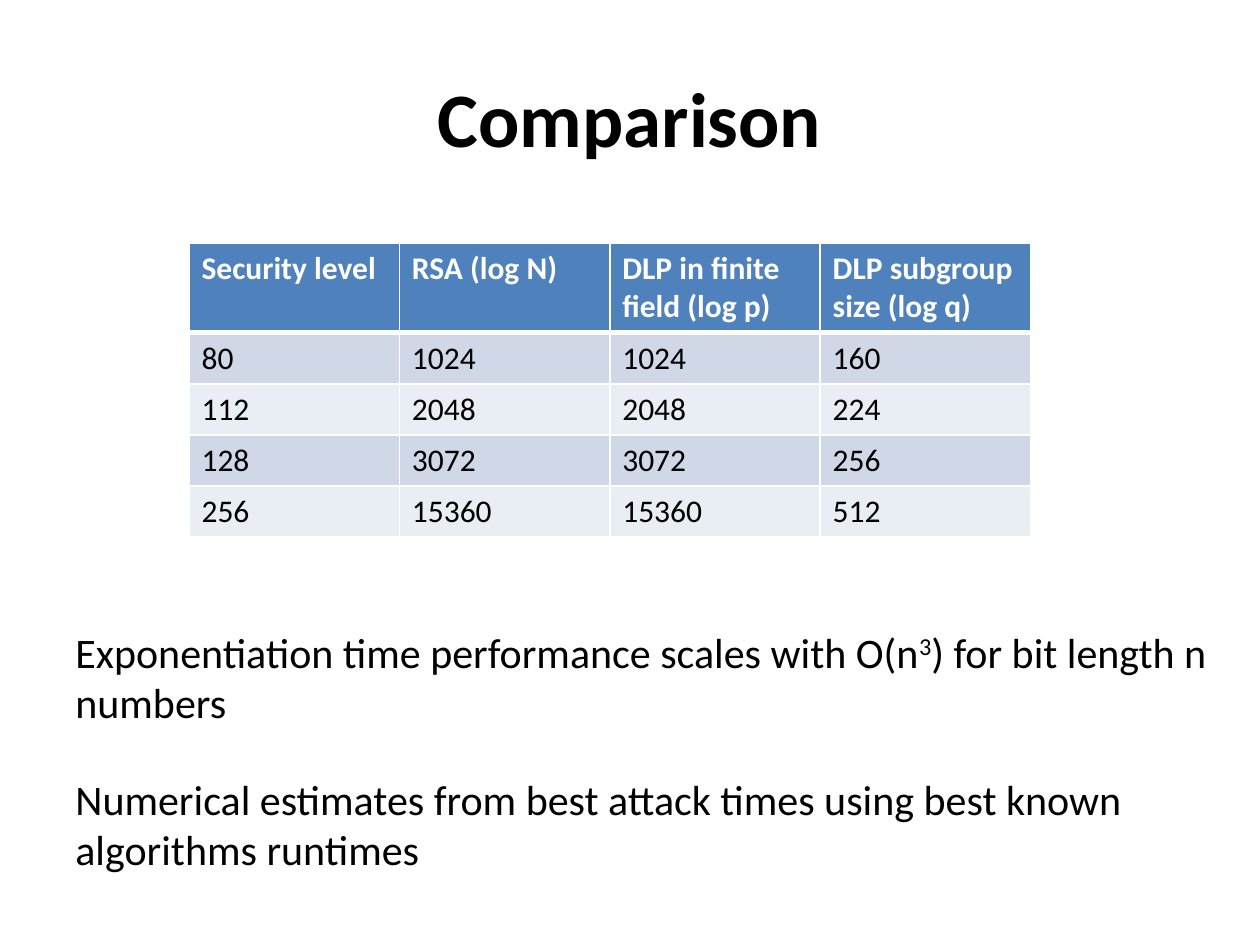
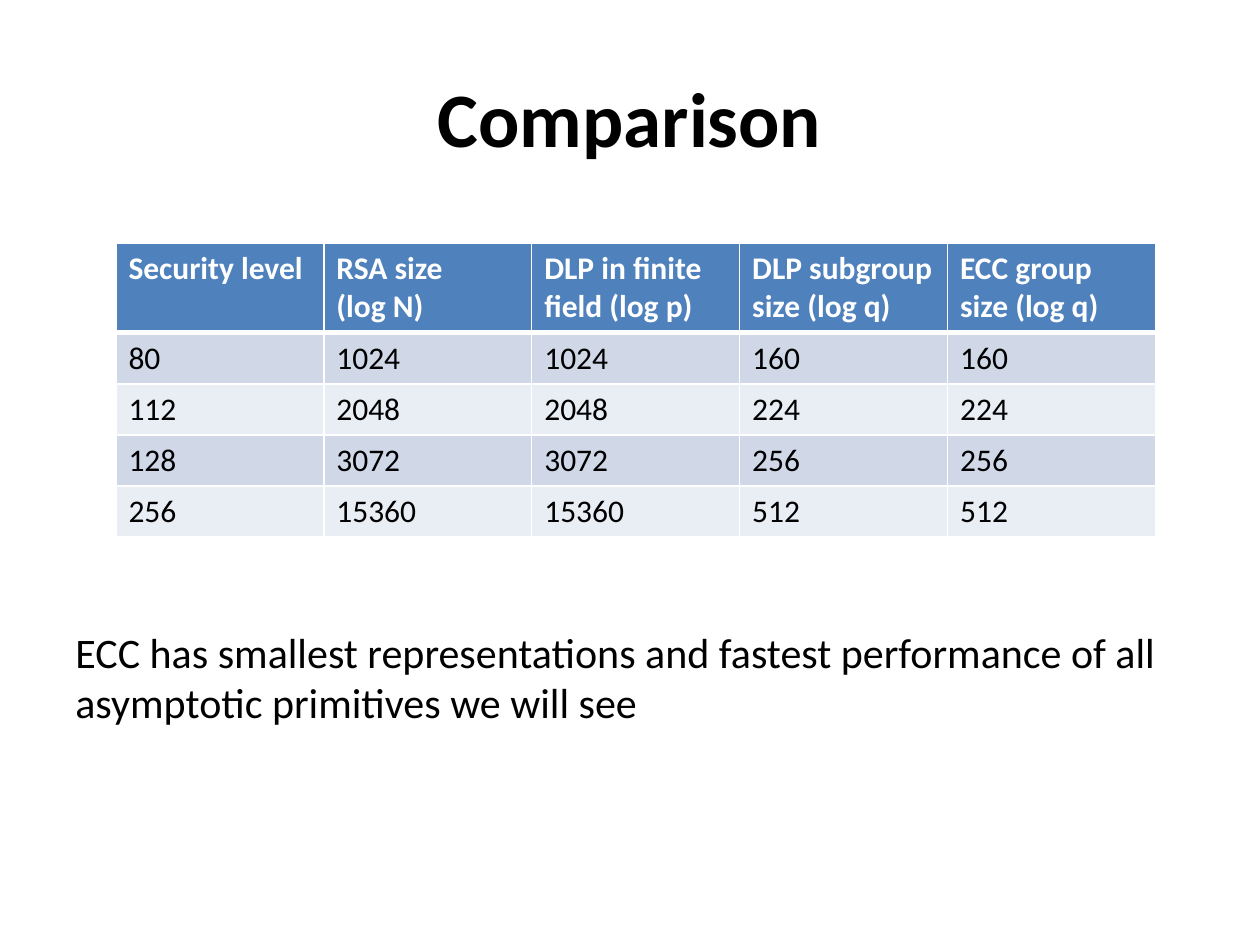
import dataclasses

import pptx
import pptx.dml.color
import pptx.enum.text
import pptx.oxml
import pptx.oxml.ns
import pptx.util

Inches = pptx.util.Inches
Pt = pptx.util.Pt


@dataclasses.dataclass(frozen=True)
class Theme:
    font: str = "Calibri"
    ink: str = "000000"
    paper: str = "FFFFFF"
    header: str = "4F81BD"
    bands: tuple = ("D0D8E8", "E9EDF4")
    title_size: int = 44
    note_size: int = 24
    cell_size: int = 18
    thin: int = 1
    thick: int = 3


THEME = Theme()
WIDTH, HEIGHT = Inches(10), Inches(7.5)
MARGIN = 0.05  # share of the slide's width
TABLE_TOP, TABLE_HEIGHT, HEADER_HEIGHT = Inches(1.93), Inches(2.32), Inches(0.7)
NOTE_HEIGHT, NOTE_STEP = Inches(0.91), Inches(1.17)
FIRST_NOTE_TOP = Inches(4.92)

# Security level, RSA modulus, field size, subgroup size
KEY_SIZES = [
    (80, 1024, 1024, 160),
    (112, 2048, 2048, 224),
    (128, 3072, 3072, 256),
    (256, 15360, 15360, 512),
]
DLP_HEADINGS = ["DLP in finite field (log p)", "DLP subgroup size (log q)"]


def color(value):
    return pptx.dml.color.RGBColor.from_string(value)


def style_font(span, size, ink=THEME.ink, bold=False):
    formats = {"name": THEME.font, "size": Pt(size), "bold": bold}
    for name, value in formats.items():
        setattr(span.font, name, value)
    span.font.color.rgb = color(ink)


def add_page(deck, title):
    page = deck.slides.add_slide(deck.slide_layouts[5])
    box = page.shapes.title
    frame = {"left": int(WIDTH * MARGIN), "top": int(HEIGHT * 0.04),
             "width": int(WIDTH * (1 - 2 * MARGIN)), "height": Inches(1.25)}
    for name, value in frame.items():
        setattr(box, name, value)
    box.text_frame.text = title
    box.text_frame.vertical_anchor = pptx.enum.text.MSO_ANCHOR.MIDDLE
    para = box.text_frame.paragraphs[0]
    para.alignment = pptx.enum.text.PP_ALIGN.CENTER
    style_font(para.runs[0], THEME.title_size, bold=True)
    return page


def set_borders(cell, top, bottom):
    properties = cell._tc.get_or_add_tcPr()
    widths = {"lnL": THEME.thin, "lnR": THEME.thin, "lnT": top, "lnB": bottom}
    for side, width in widths.items():
        properties.append(pptx.oxml.parse_xml(
            f'<a:{side} {pptx.oxml.ns.nsdecls("a")} w="{Pt(width)}">'
            f'<a:solidFill><a:srgbClr val="{THEME.paper}"/></a:solidFill></a:{side}>'))


def fill_cell(cell, text, row):
    is_header = row == 0
    set_borders(cell, top=THEME.thick if row == 1 else THEME.thin,
                bottom=THEME.thick if is_header else THEME.thin)
    cell.fill.solid()
    cell.fill.fore_color.rgb = color(
        THEME.header if is_header else THEME.bands[(row - 1) % 2])
    cell.text_frame.text = str(text)
    for span in cell.text_frame.paragraphs[0].runs:
        style_font(span, THEME.cell_size,
                   THEME.paper if is_header else THEME.ink, is_header)


def add_comparison(page, left, column_width, rows):
    columns = len(rows[0])
    table = page.shapes.add_table(
        len(rows), columns, Inches(left), TABLE_TOP,
        Inches(column_width * columns), TABLE_HEIGHT).table
    for column in table.columns:
        column.width = Inches(column_width)
    body_height = (TABLE_HEIGHT - HEADER_HEIGHT) // (len(rows) - 1)
    for row, values in enumerate(rows):
        table.rows[row].height = body_height if row else HEADER_HEIGHT
        for column, value in enumerate(values):
            fill_cell(table.cell(row, column), value, row)


def add_note(page, place, width, *parts):
    """Add a note in the given place; every second part is superscript."""
    box = page.shapes.add_textbox(int(WIDTH * MARGIN), FIRST_NOTE_TOP + place * NOTE_STEP,
                                  Inches(width), NOTE_HEIGHT)
    box.text_frame.word_wrap = True
    box.text_frame.auto_size = pptx.enum.text.MSO_AUTO_SIZE.SHAPE_TO_FIT_TEXT
    para = box.text_frame.paragraphs[0]
    for index, text in enumerate(parts):
        span = para.add_run()
        span.text = text
        style_font(span, THEME.note_size)
        if index % 2:
            span._r.get_or_add_rPr().set("baseline", "30000")


def main():
    deck = pptx.Presentation()
    deck.slide_width, deck.slide_height = WIDTH, HEIGHT

    page = add_page(deck, "Comparison")
    headings = ["Security level", "RSA (log N)", *DLP_HEADINGS]
    add_comparison(page, 1.5, 1.67, [headings, *KEY_SIZES])
    add_note(page, 0, 9.5, "Exponentiation time performance scales with O(n", "3",
             ") for bit length n numbers")
    add_note(page, 1, 9.25, "Numerical estimates from best attack times using "
             "best known algorithms runtimes")

    page = add_page(deck, "Comparison")
    headings = ["Security level", "RSA size\v(log N)", *DLP_HEADINGS,
                "ECC group size (log q)"]
    # An ECC group is as large as the DLP subgroup of the same level.
    sizes_with_ecc = [(*sizes, sizes[-1]) for sizes in KEY_SIZES]
    add_comparison(page, 0.92, 1.65, [headings, *sizes_with_ecc])
    add_note(page, 0, 9.25, "ECC has smallest representations and fastest performance "
             "of all asymptotic primitives we will see")

    deck.save("out.pptx")


if __name__ == "__main__":
    main()
